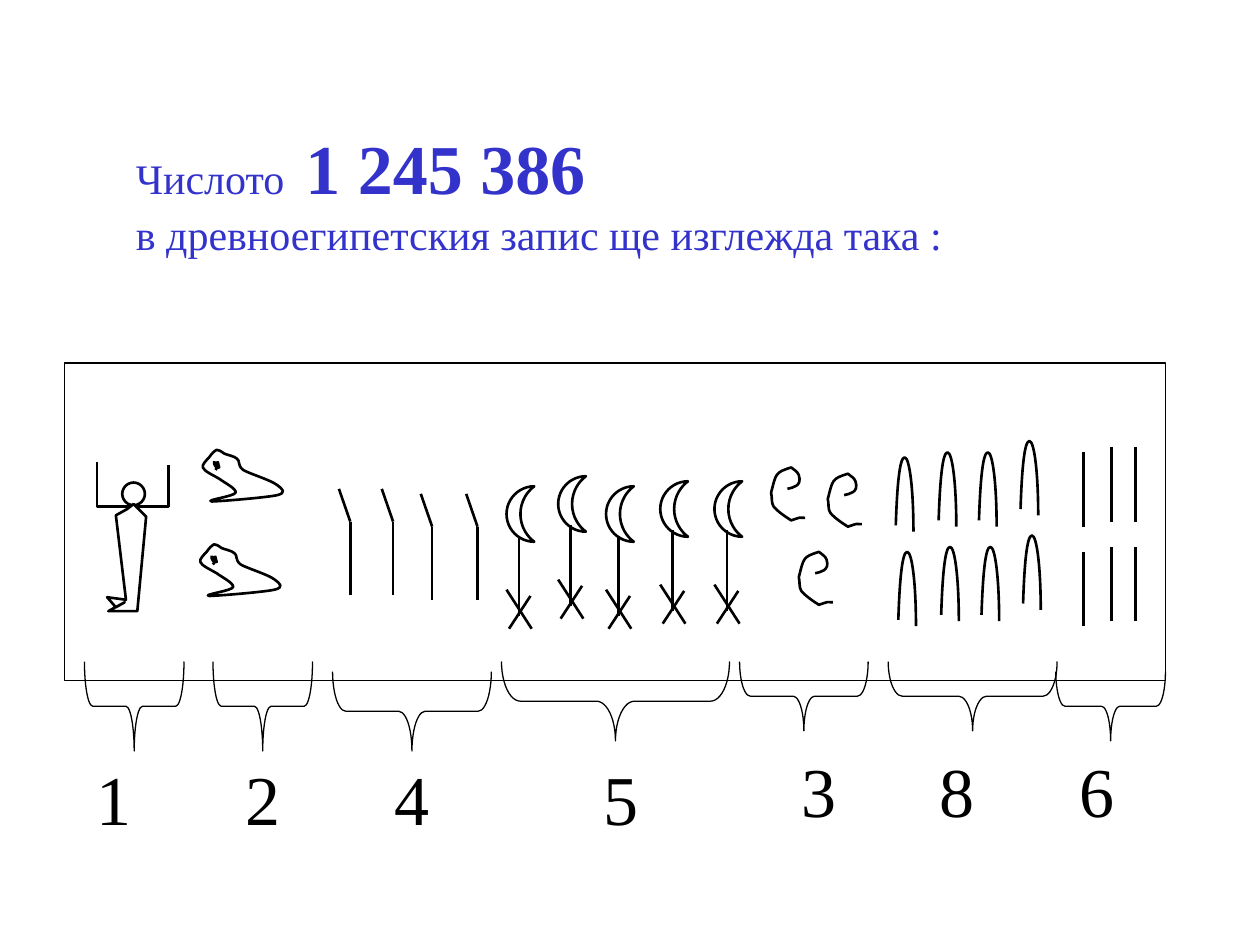
from dataclasses import dataclass
from lxml.etree import SubElement
from pptx import Presentation
from pptx.dml.color import RGBColor as Color
from pptx.enum.shapes import MSO_CONNECTOR as Link, MSO_SHAPE as Kind
from pptx.enum.text import MSO_AUTO_SIZE as Fit
from pptx.oxml.ns import qn
from pptx.util import Inches, Pt


@dataclass(frozen=True)
class Theme:
    """Colours, type and line sizes of the slide."""
    ink = Color(0, 0, 0)
    paper = Color(255, 255, 255)
    blue = Color(0x33, 0x33, 0xCC)
    face = "Times New Roman"
    small = Pt(24)
    large = Pt(40)
    thin = Pt(0.75)
    bold = Pt(1.5)


SNAKE = [(0.06, 0.06), (0.08, 0.03), (0.10, 0.01), (0.12, 0), (0.14, 0),
         (0.15, 0.01), (0.18, 0.03), (0.20, 0.04), (0.26, 0.05), (0.28, 0.07),
         (0.31, 0.09), (0.28, 0.12), (0.33, 0.16), (0.38, 0.19), (0.55, 0.24),
         (0.60, 0.28), (0.64, 0.31), (0.68, 0.34), (0.60, 0.36), (0.51, 0.38),
         (0.13, 0.41), (0.08, 0.41), (0.02, 0.40), (0.26, 0.37), (0.27, 0.34),
         (0.28, 0.31), (0.18, 0.26), (0.14, 0.23), (0.09, 0.20), (0.02, 0.17),
         (0.01, 0.14), (0, 0.12), (0.04, 0.08), (0.06, 0.06)]
EYE = [(0.10, 0.09), (0.10, 0.11), (0.10, 0.12), (0.11, 0.13), (0.11, 0.14),
       (0.13, 0.15), (0.14, 0.14), (0.14, 0.13), (0.13, 0.12), (0.13, 0.10),
       (0.12, 0.11), (0.10, 0.10), (0.10, 0.11), (0.10, 0.12), (0.12, 0.11),
       (0.13, 0.12), (0.13, 0.14), (0.11, 0.16), (0.11, 0.16)]
COIL = [(0.13, 0.17), (0.17, 0.16), (0.25, 0.15), (0.22, 0.06), (0.21, 0.03),
        (0.18, 0.02), (0.16, 0), (0.03, 0.04), (0.04, 0.05), (0, 0.20),
        (0.01, 0.24), (0, 0.28), (0.02, 0.31), (0.06, 0.36), (0.16, 0.42),
        (0.16, 0.42), (0.25, 0.39), (0.21, 0.40), (0.27, 0.40)]
ARCH = [(0, 0.54), (0.01, 0.23), (0.03, 0), (0.07, 0),
        (0.11, 0), (0.14, 0.26), (0.14, 0.59)]
ARMS = [(0, 0), (0, 0.35), (0.57, 0.35), (0.57, 0.02)]
BODY = [(0.24, 0.37), (0.15, 0.42), (0.23, 1.09), (0.08, 1.07), (0.15, 1.15),
        (0.22, 1.11), (0.09, 1.18), (0.32, 1.18), (0.39, 0.43), (0.29, 0.33),
        (0.24, 0.37)]


def assign(item, **values):
    """Set each named value on the item."""
    for name, value in values.items():
        setattr(item, name, value)


def dress(shape, fill=None, width=Theme.bold):
    """Give a shape its fill and line, with no shadow."""
    shape.shadow.inherit = False
    if fill is None:
        shape.fill.background()
    else:
        shape.fill.solid()
        shape.fill.fore_color.rgb = fill
    shape.line.color.rgb = Theme.ink
    shape.line.width = width


def preset(shapes, kind, box, fill=None, width=Theme.bold):
    """Add a preset shape in the box."""
    shape = shapes.add_shape(kind, *map(Inches, box))
    dress(shape, fill, width)
    return shape


def stroke(shapes, *ends):
    """Add a straight line between two points."""
    line = shapes.add_connector(Link.STRAIGHT, *map(Inches, ends))
    line.line.color.rgb = Theme.ink
    line.line.width = Theme.bold
    SubElement(line.element.spPr, qn("a:effectLst"))


def outline(shapes, x, y, points, fill=None):
    """Add an outline of straight sides, offset to x and y."""
    first, *rest = [(Inches(x + a), Inches(y + b)) for a, b in points]
    form = shapes.build_freeform(*first)
    form.add_line_segments(rest, close=points[0] == points[-1])
    shape = form.convert_to_shape()
    dress(shape, fill)
    return shape


def curve(shapes, x, y, knots, fill=None):
    """Add an outline of cubic curves, three knots to each."""
    shape = outline(shapes, x, y, knots, fill)
    track = next(shape.element.iter(qn("a:path")))
    sides = track.findall(qn("a:lnTo"))
    for i in range(0, len(sides), 3):
        bend = SubElement(track, qn("a:cubicBezTo"))
        sides[i].addprevious(bend)
        for side in sides[i:i + 3]:
            bend.append(side[0])
            track.remove(side)


def person(shapes, x, y):
    """Draw the sign for a million."""
    outline(shapes, x, y, ARMS)
    preset(shapes, Kind.OVAL, (x + 0.2, y + 0.16, 0.18, 0.18), Theme.paper)
    outline(shapes, x, y, BODY, Theme.paper)


def snake(shapes, x, y):
    """Draw the sign for a hundred thousand."""
    curve(shapes, x, y, SNAKE, Theme.paper)
    curve(shapes, x, y, EYE)


def finger(shapes, x, y):
    """Draw the sign for ten thousand."""
    stroke(shapes, x, y, x + 0.09, y + 0.26)
    stroke(shapes, x + 0.09, y + 0.26, x + 0.09, y + 0.84)


def lotus(shapes, x, y):
    """Draw the sign for a thousand."""
    preset(shapes, Kind.MOON, (x, y, 0.22, 0.44), Theme.paper)
    stroke(shapes, x + 0.1, y + 0.39, x + 0.1, y + 1.03)
    stroke(shapes, x + 0.19, y + 0.87, x + 0.02, y + 1.13)
    stroke(shapes, x, y + 0.82, x + 0.2, y + 1.13)


def coil(shapes, x, y):
    """Draw the sign for a hundred."""
    curve(shapes, x, y, COIL)


def arch(shapes, x, y):
    """Draw the sign for ten."""
    curve(shapes, x, y, ARCH)


def tally(shapes, x, y):
    """Draw the sign for one."""
    stroke(shapes, x, y, x, y + 0.59)


TENS = [(7.11, 3.63), (7.45, 3.59), (7.77, 3.59), (8.1, 3.5)]
ONES = [(8.6, 3.59), (8.82, 3.55), (9.01, 3.55)]
SIGNS = {
    person: [(0.77, 3.67)],
    snake: [(1.6, 3.57), (1.58, 4.32)],
    finger: [(2.69, 3.88), (3.03, 3.88), (3.34, 3.92), (3.7, 3.92)],
    lotus: [(4.02, 3.86), (4.43, 3.78), (4.81, 3.86), (5.24, 3.82), (5.67, 3.82)],
    coil: [(6.12, 3.71), (6.57, 3.76), (6.34, 4.38)],
    arch: TENS + [(x + 0.02, y + 0.75) for x, y in TENS],
    tally: ONES + [(x, y + 0.79) for x, y in ONES],
}
COUNTS = [("1", 0.67, 5.95, (0.67, 5.25, 0.79, 0.71)),
          ("2", 1.85, 5.95, (1.69, 5.25, 0.79, 0.71)),
          ("4", 3.03, 5.95, (2.64, 5.33, 1.26, 0.63)),
          ("5", 4.69, 5.95, (3.98, 5.25, 1.81, 0.63)),
          ("3", 6.26, 5.88, (5.87, 5.25, 1.02, 0.55)),
          ("8", 7.36, 5.88, (7.05, 5.25, 1.34, 0.55)),
          ("6", 8.47, 5.88, (8.38, 5.33, 0.87, 0.55))]


def label(shapes, box, lines, color, wrap):
    """Add a text box whose lines are lists of text, size and weight."""
    frame = shapes.add_textbox(*map(Inches, box)).text_frame
    assign(frame, word_wrap=wrap, auto_size=Fit.SHAPE_TO_FIT_TEXT)
    para = frame.paragraphs[0]
    for i, line in enumerate(lines):
        if i:
            para.add_line_break()
        for text, size, bold in line:
            run = para.add_run()
            run.text = text
            assign(run.font, name=Theme.face, size=size, bold=bold)
            run.font.color.rgb = color


def panel(shapes, box):
    """Draw the framed row of signs."""
    group = shapes.add_group_shape().shapes
    preset(group, Kind.RECTANGLE, box, Theme.paper, Theme.thin)
    for draw, spots in SIGNS.items():
        for x, y in spots:
            draw(group, x, y)


def brace(shapes, box):
    """Draw a brace that opens upward and fills the box."""
    x, y, wide, deep = box
    turn = (wide - deep) / 2
    shape = preset(shapes, Kind.LEFT_BRACE, (x + turn, y - turn, deep, wide),
                   width=Theme.thin)
    shape.rotation = 270
    shape.adjustments[0] = wide / deep / 12


def main():
    """Build the slide and save it."""
    deck = Presentation()
    assign(deck, slide_width=Inches(10), slide_height=Inches(7.5))
    shapes = deck.slides.add_slide(deck.slide_layouts[6]).shapes
    panel(shapes, (0.51, 2.88, 8.74, 2.52))
    label(shapes, (0.98, 0.94, 6.62, 1.17),
          [[("Числото  ", Theme.small, False), ("1 245 386 ", Theme.large, True)],
           [("в древноегипетския запис ще изглежда така :", Theme.small, False)]],
          Theme.blue, False)
    for digit, x, y, box in COUNTS:
        label(shapes, (x, y, 0.63, 0.77), [[(digit, Theme.large, False)]], Theme.ink, True)
        brace(shapes, box)
    deck.save("out.pptx")


if __name__ == "__main__":
    main()
